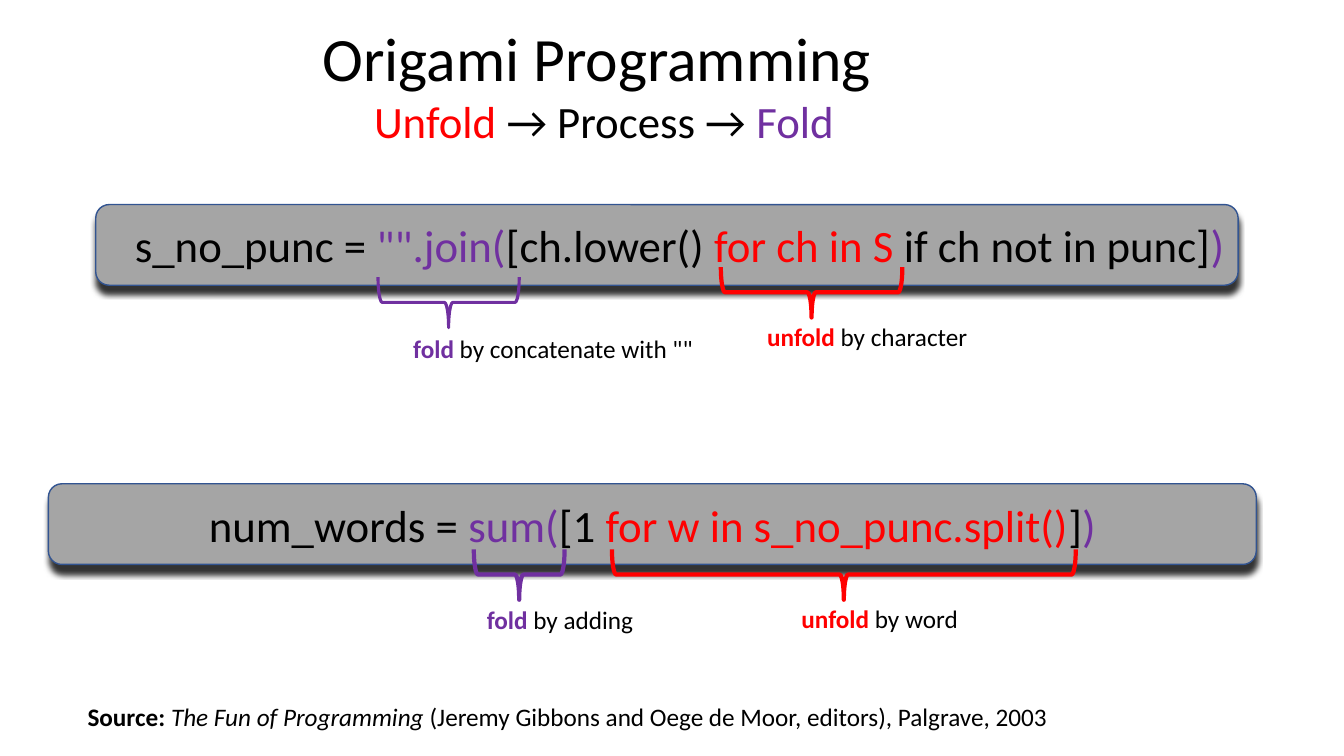
from lxml import etree
from pptx import Presentation
from pptx import util as u
from pptx.dml.color import RGBColor
from pptx.enum import shapes, text
from pptx.oxml.ns import qn

CELL = 0.5  # side of one grid square, in inches
BLACK, RED, PURPLE = "000000", "FF0000", "7030A0"
GRAY, BLUE = "A5A5A5", "325491"
LEFT, CENTER, RIGHT = (text.PP_ALIGN.LEFT, text.PP_ALIGN.CENTER,
                       text.PP_ALIGN.RIGHT)


def cells(*counts):
    return [u.Inches(n * CELL) for n in counts]


def color(value):
    return RGBColor.from_string(value)


def write(p, content, size=18, fill=BLACK, bold=False, italic=False):
    r = p.add_run()
    r.text = content
    f = r.font
    f.name, f.size, f.bold, f.italic = "Calibri", u.Pt(size), bold, italic
    f.color.rgb = color(fill)


def add_xml(parent, tag, **attributes):
    return etree.SubElement(parent, qn(tag), **attributes)


def add_shadow(sp):
    sp.shadow.inherit = False
    effects = sp._element.spPr.find(qn("a:effectLst"))
    shadow = add_xml(effects, "a:outerShdw", blurRad=str(u.Pt(4)),
                     dist=str(u.Pt(6)), dir="5400000", rotWithShape="0")
    tint = add_xml(shadow, "a:srgbClr", val=BLACK)
    add_xml(tint, "a:alpha", val="80000")


def turn_camera(sp):
    """Turn the view of a shape a quarter counterclockwise."""
    scene = add_xml(sp._element.spPr, "a:scene3d")
    camera = add_xml(scene, "a:camera", prst="orthographicFront")
    add_xml(camera, "a:rot", lat="0", lon="0", rev="5400000")
    add_xml(scene, "a:lightRig", rig="threePt", dir="t")


def add_code(s, box, align, runs):
    sp = s.shapes.add_shape(shapes.MSO_SHAPE.ROUNDED_RECTANGLE, *cells(*box))
    sp.fill.solid()
    sp.fill.fore_color.rgb = color(GRAY)
    sp.line.color.rgb = color(BLUE)
    sp.line.width = u.Pt(1)
    add_shadow(sp)
    tf = sp.text_frame
    tf.word_wrap = True
    tf.vertical_anchor = text.MSO_ANCHOR.MIDDLE
    p = tf.paragraphs[0]
    p.alignment = align
    for content, fill in runs:
        write(p, content, size=32, fill=fill)


def add_brace(s, left, top, span, fill, width=3):
    """Draw a brace under code, one cell deep, with its tip pointing down."""
    box = cells(left + (span - 1) / 2, top - (span - 1) / 2, 1, span)
    sp = s.shapes.add_shape(shapes.MSO_SHAPE.LEFT_BRACE, *box)
    sp.fill.background()
    sp.line.color.rgb = color(fill)
    sp.line.width = u.Pt(width)
    sp.shadow.inherit = False
    turn_camera(sp)


def add_text(s, box, lines, align=LEFT):
    """Add a text box; each line is a list of (content, format) runs."""
    tf = s.shapes.add_textbox(*cells(*box)).text_frame
    tf.word_wrap = False
    tf.auto_size = text.MSO_AUTO_SIZE.SHAPE_TO_FIT_TEXT
    for i, runs in enumerate(lines):
        p = tf.add_paragraph() if i else tf.paragraphs[0]
        p.alignment = align
        for content, style in runs:
            write(p, content, **style)


def add_label(s, left, top, width, term, rest, fill):
    add_text(s, (left, top, width, 0.8),
             [[(term, dict(fill=fill, bold=True)), (rest, {})]])


def main():
    prs = Presentation()
    prs.slide_width, prs.slide_height = u.Inches(13.33), u.Inches(7.5)
    s = prs.slides.add_slide(prs.slide_layouts[6])

    add_code(s, (1.9, 4.06, 22.66, 1.6), RIGHT, [
        ("s_no_punc = ", BLACK), ('"".join(', PURPLE), ("[ch.lower() ", BLACK),
        ("for ch in S ", RED), ("if ch not in punc]", BLACK), (")", PURPLE)])
    add_code(s, (0.96, 9.6, 23.96, 1.6), CENTER, [
        ("num_words = ", BLACK), ("sum(", PURPLE), ("[1 ", BLACK),
        ("for w in s_no_punc.split()", RED), ("]", BLACK), (")", PURPLE)])

    add_text(s, (6.14, 0.3, 11.68, 2.76), [
        [("Origami Programming ", dict(size=44))],
        [("Unfold ", dict(size=32, fill=RED)),
         ("→ Process → ", dict(size=32)),
         ("Fold", dict(size=32, fill=PURPLE))]], align=CENTER)

    add_brace(s, 14.3, 5.3, 3.6, RED)
    add_brace(s, 12.14, 10.9, 9.2, RED)
    add_brace(s, 7.5, 5.5, 2.8, PURPLE, width=2.25)
    add_brace(s, 9.4, 10.9, 1.8, PURPLE)

    add_label(s, 15.02, 6.28, 4.38, "unfold", " by character", RED)
    add_label(s, 15.7, 11.87, 3.54, "unfold ", "by word", RED)
    add_label(s, 8, 6.52, 6.02, "fold", ' by concatenate with ""', PURPLE)
    add_label(s, 9.46, 11.9, 3.34, "fold", " by adding", PURPLE)

    add_text(s, (1.54, 13.82, 19.66, 0.8), [[
        ("Source: ", dict(bold=True)),
        ("The Fun of Programming ", dict(italic=True)),
        ("(Jeremy Gibbons and Oege de Moor, editors), Palgrave, 2003", {})]])

    prs.save("out.pptx")


if __name__ == "__main__":
    main()
